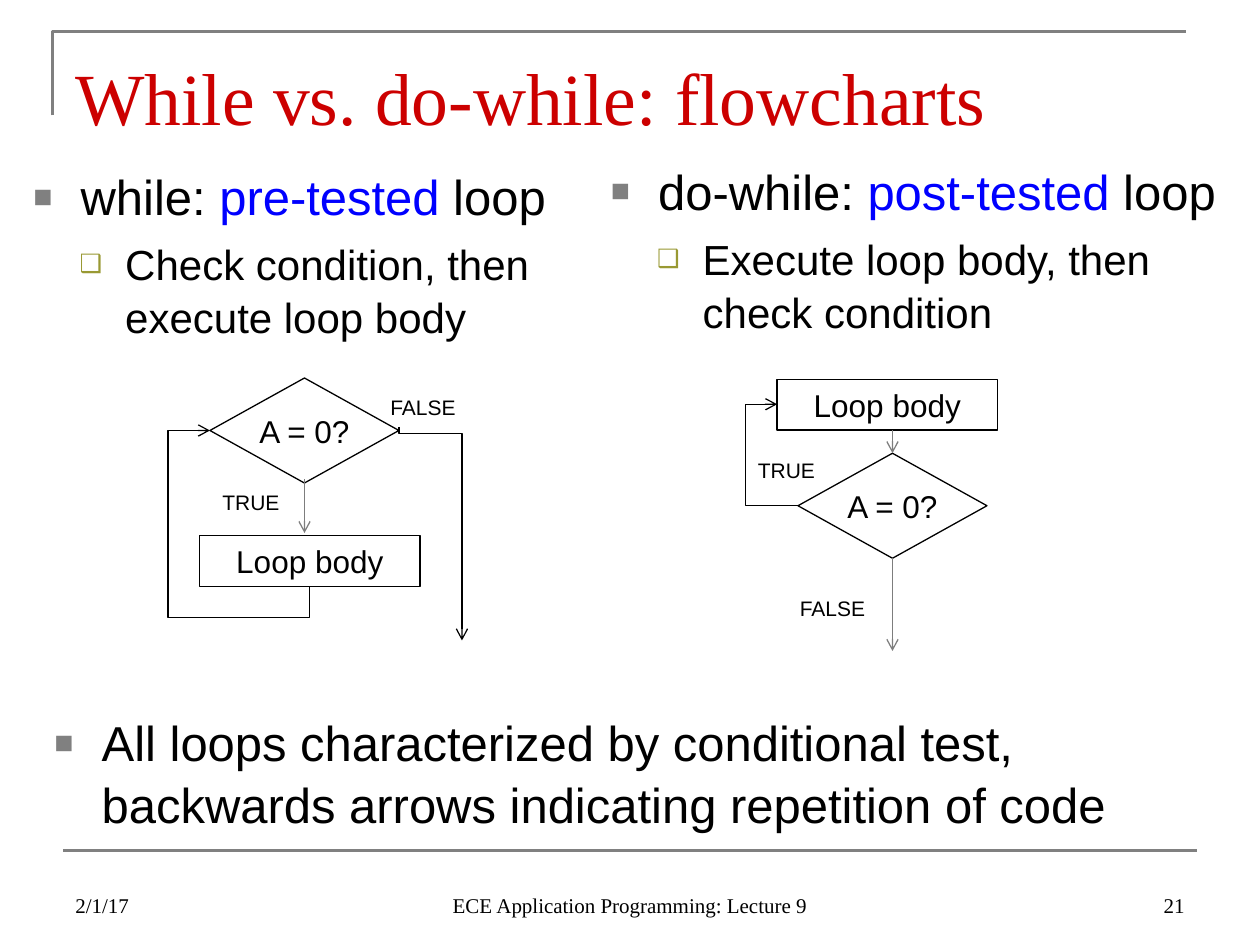
from lxml import etree
from pptx import Presentation
from pptx.dml.color import RGBColor
from pptx.enum.shapes import MSO_CONNECTOR, MSO_SHAPE
from pptx.enum.text import MSO_ANCHOR, PP_ALIGN
from pptx.oxml.ns import qn
from pptx.util import Pt

STRAIGHT, ELBOW = MSO_CONNECTOR.STRAIGHT, MSO_CONNECTOR.ELBOW
RECT, DIAMOND = MSO_SHAPE.RECTANGLE, MSO_SHAPE.FLOWCHART_DECISION
TOP, MIDDLE, BOTTOM = MSO_ANCHOR.TOP, MSO_ANCHOR.MIDDLE, MSO_ANCHOR.BOTTOM
LEFT, CENTER, RIGHT = PP_ALIGN.LEFT, PP_ALIGN.CENTER, PP_ALIGN.RIGHT
SANS, SERIF = "Arial", "Times New Roman"
BLACK, GREY, DARK, BLUE, RED, OLIVE = "000000", "808080", "7D7D7D", "0000FF", "CC0000", "999933"
BULLETS = [("■", GREY, 65, 27, 27), ("❑", OLIVE, 60, 52.5, 26)]


def paint(color, code):
    """Give a colour format a hex colour."""
    color.rgb = RGBColor.from_string(code)


def child(node, tag, **attrs):
    """Append a drawing element to a node."""
    part = etree.SubElement(node, qn(tag))
    for key, value in attrs.items():
        part.set(key, str(value))
    return part


def write(para, runs, size, font=SANS, align=LEFT):
    """Fill a paragraph with (text, colour) runs."""
    para.alignment = align
    for text, code in runs:
        run = para.add_run()
        run.text = text
        run.font.size = Pt(size)
        run.font.name = font
        paint(run.font.color, code)


def label(slide, box, text, size=12, font=SANS, code=BLACK, align=LEFT, anchor=TOP):
    """Add a text box of one run and return its frame."""
    frame = slide.shapes.add_textbox(*map(Pt, box)).text_frame
    frame.word_wrap = True
    frame.vertical_anchor = anchor
    write(frame.paragraphs[0], [(text, code)], size, font, align)
    return frame


def bullets(slide, box, items):
    """Add a text box of (level, size, runs) bullets."""
    frame = slide.shapes.add_textbox(*map(Pt, box)).text_frame
    frame.word_wrap = True
    for i, (level, size, runs) in enumerate(items):
        para = frame.add_paragraph() if i else frame.paragraphs[0]
        mark, code, scale, margin, hang = BULLETS[level]
        props = para._p.get_or_add_pPr()
        props.set("marL", str(Pt(margin)))
        props.set("indent", str(-Pt(hang)))
        child(child(props, "a:buClr"), "a:srgbClr", val=code)
        child(props, "a:buSzPct", val=scale * 1000)
        child(props, "a:buFont", typeface=SANS)
        child(props, "a:buChar", char=mark)
        para.level = level
        para.line_spacing = 1.05
        if i:
            para.space_before = Pt(6)
        write(para, runs, size)


def node(slide, kind, box, text):
    """Add an outlined flowchart shape with centred text."""
    shape = slide.shapes.add_shape(kind, *map(Pt, box))
    shape.shadow.inherit = False
    shape.fill.background()
    shape.line.width = Pt(0.75)
    paint(shape.line.color, BLACK)
    frame = shape.text_frame
    frame.word_wrap = kind == RECT
    frame.vertical_anchor = MIDDLE
    write(frame.paragraphs[0], [(text, BLACK)], 18, align=CENTER)
    return shape


def link(slide, ends, code=DARK, width=0.75, kind=STRAIGHT, arrow=True):
    """Add a connector between two points."""
    line = slide.shapes.add_connector(kind, *map(Pt, ends))
    line.line.width = Pt(width)
    paint(line.line.color, code)
    if arrow:
        child(line.line._get_or_add_ln(), "a:tailEnd", type="arrow")
    child(line._element.spPr, "a:effectLst")
    return line


def elbow(slide, box, turn, flip, bends):
    """Add a bent arrow in a box turned about its centre."""
    x, y, w, h = box
    props = link(slide, (x, y, x + w, y + h), BLACK, kind=ELBOW)._element.spPr
    frame = props.find(qn("a:xfrm"))
    frame.set("rot", str(turn * 60000))
    if flip:
        frame.set("flipH", "1")
    shape = props.find(qn("a:prstGeom"))
    shape.set("prst", f"bentConnector{len(bends) + 2}")
    guides = shape.find(qn("a:avLst"))
    if guides is None:
        guides = child(shape, "a:avLst")
    for i, bend in enumerate(bends, 1):
        child(guides, "a:gd", name=f"adj{i}", fmla=f"val {round(bend * 100000)}")


def pretest(slide, x, y):
    """Draw the while flowchart."""
    node(slide, DIAMOND, (x + 24, y, 108, 60), "A = 0?")
    label(slide, (x + 120, y + 6, 66, 21.6), "FALSE")
    label(slide, (x + 24, y + 60, 54, 21.6), "TRUE")
    node(slide, RECT, (x + 18, y + 90, 126, 29), "Loop body")
    elbow(slide, (x + 89, y + 71, 122, 36), 270, True, [0.03])
    elbow(slide, (x + 8, y + 46, 89, 57), 90, True, [-0.2, 1.42])
    link(slide, (x + 78, y + 58, x + 78, y + 88.6))


def posttest(slide, x, y):
    """Draw the do-while flowchart."""
    test = node(slide, DIAMOND, (x + 30, y + 43, 108, 60), "A = 0?")
    label(slide, (x + 24, y + 121, 66, 21.6), "FALSE")
    label(slide, (x, y + 42, 54, 21.6), "TRUE")
    node(slide, RECT, (x + 18, y + 0.7, 126, 29), "Loop body")
    elbow(slide, (x + 18, y + 15, 12, 58), 180, False, [2.5])
    link(slide, (x + 84, y + 103, x + 84, y + 156)).begin_connect(test, 2)
    link(slide, (x + 84, y + 30, x + 84, y + 43)).end_connect(test, 0)


def frame(slide, x, y, w, h):
    """Draw the rules, title and footer."""
    pen = slide.shapes.build_freeform(Pt(x - 6), Pt(y + 48))
    pen.add_line_segments([(Pt(x - 6), Pt(y)), (Pt(x + w - 6), Pt(y))], close=False)
    corner = pen.convert_to_shape()
    corner.shadow.inherit = False
    corner.fill.background()
    corner.line.width = Pt(1.5)
    paint(corner.line.color, GREY)
    link(slide, (x, y + h, x + w, y + h), GREY, 1.5, arrow=False)
    title = label(slide, (x, y + 3.6, w, 56), "While vs. do-while: flowcharts", 42, SERIF, RED)
    title.margin_top = Pt(8)
    foot = [(0, 168, "2/1/17", LEFT), (210, 228, "ECE Application Programming: Lecture 9", CENTER),
            (480, 168, "21", RIGHT)]
    for dx, width, text, align in foot:
        label(slide, (x + dx, y + 474, width, 36), text, 12, SERIF, align=align, anchor=BOTTOM)


def main():
    """Build and save the slide."""
    deck = Presentation()
    deck.slide_width, deck.slide_height = Pt(720), Pt(540)
    slide = deck.slides.add_slide(deck.slide_layouts[6])
    frame(slide, 36, 18, 648, 468)
    sides = [
        ((12, 90, 318, 392), "while: ", "pre-tested", "Check condition, then execute loop body"),
        ((342, 87, 366, 392), "do-while: ", "post-tested", "Execute loop body, then check condition"),
    ]
    for box, name, kind, detail in sides:
        head = [(name, BLACK), (kind, BLUE), (" loop", BLACK)]
        bullets(slide, box, [(0, 28, head), (1, 24, [(detail, BLACK)])])
    pretest(slide, 96, 216)
    posttest(slide, 426, 216)
    note = "All loops characterized by conditional test, backwards arrows indicating repetition of code"
    bullets(slide, (24, 402, 672, 93), [(0, 28, [(note, BLACK)])])
    deck.save("out.pptx")


if __name__ == "__main__":
    main()
